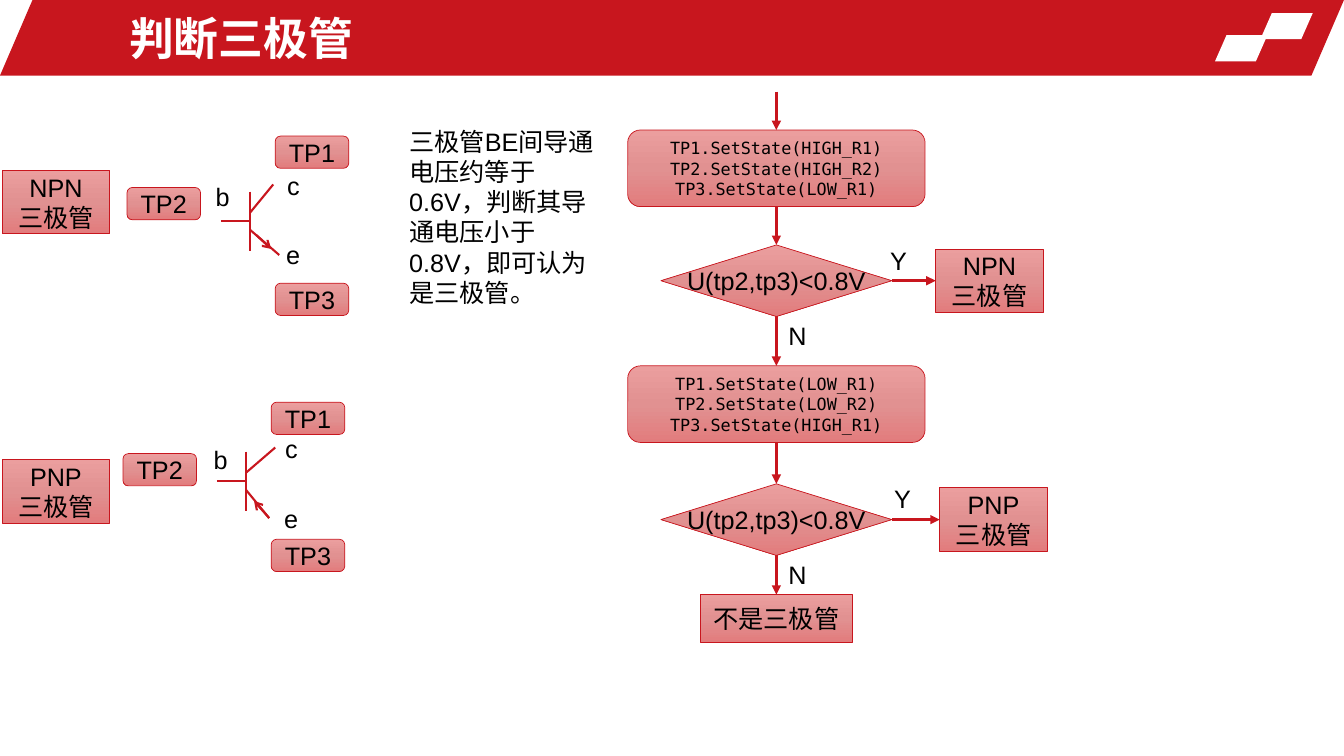
from copy import deepcopy

from lxml import etree
from pptx import Presentation
from pptx import util as u
from pptx.dml.color import RGBColor
from pptx.enum import shapes, text
from pptx.oxml.ns import qn

COLORS = {
    "red": "C8161E",
    "white": "FFFFFF",
    "black": "000000",
    "gradient_top": "EB9E9E",
    "gradient_middle": "E19191",
    "gradient_bottom": "E27C7D",
}
SHAPE = shapes.MSO_SHAPE
TOP, BOTTOM, LEFT, RIGHT = 0, 2, 1, 3

# Offsets from the top left corner of each transistor's box
TRANSISTORS = {
    "NPN": {
        "name_top": 0.34, "tp3_top": 1.46, "bar_top": 0.55,
        "collector": (0.23, -0.07), "emitter": (0.29, 0.63),
        "arrow": ((0.06, 0.43), (0.21, 0.57)),
        "letter_shift": (0, 0),
    },
    "PNP": {
        "name_top": 0.57, "tp3_top": 1.36, "bar_top": 0.49,
        "collector": (0.29, -0.04), "emitter": (0.23, 0.66),
        "arrow": ((0.23, 0.66), (0.08, 0.49)),
        "letter_shift": (0.02, 0.03),
    },
}


def color(name):
    return RGBColor.from_string(COLORS[name])


def write(shape, content, size=18, font="Arial", ink="black", bold=False,
          align=text.PP_ALIGN.CENTER, anchor=text.MSO_ANCHOR.MIDDLE,
          wrap=True, fit=text.MSO_AUTO_SIZE.NONE):
    frame = shape.text_frame
    frame.text = content
    frame.word_wrap = wrap
    frame.auto_size = fit
    frame.vertical_anchor = anchor
    for paragraph in frame.paragraphs:
        paragraph.alignment = align
        paragraph.space_before = u.Pt(0)
        paragraph.font.size = u.Pt(size)
        paragraph.font.name = font
        paragraph.font.bold = bold
        paragraph.font.color.rgb = color(ink)


def add_label(slide, content, left, top, width, height=0.4, wrap=True):
    label = slide.shapes.add_textbox(*map(u.Inches, (left, top, width, height)))
    write(label, content, align=text.PP_ALIGN.LEFT, anchor=text.MSO_ANCHOR.TOP,
          wrap=wrap, fit=text.MSO_AUTO_SIZE.SHAPE_TO_FIT_TEXT)


def add_plain(slide, kind, left, top, width, height):
    shape = slide.shapes.add_shape(kind, *map(u.Inches, (left, top, width, height)))
    shape.shadow.inherit = False
    return shape


def add_node(slide, kind, content, left, top, width, height, **text_format):
    """Shape with the red gradient and a thin red outline."""
    node = add_plain(slide, kind, left, top, width, height)
    node.fill.gradient()
    node.fill.gradient_angle = 270
    stops = node.element.spPr.find(qn("a:gradFill")).find(qn("a:gsLst"))
    middle = deepcopy(stops[0])
    middle.set("pos", "50000")
    stops.insert(1, middle)
    for stop, part in zip(node.fill.gradient_stops, ("top", "middle", "bottom")):
        stop.color.rgb = color(f"gradient_{part}")
    node.line.color.rgb = color("red")
    node.line.width = u.Pt(0.5)
    write(node, content, **text_format)
    return node


def add_name(slide, kind, left, top):
    return add_node(slide, SHAPE.RECTANGLE, f"{kind}\n三极管", left, top, 1.07, 0.63)


def add_line(slide, start, end, width=1.5, head=None):
    line = slide.shapes.add_connector(shapes.MSO_CONNECTOR.STRAIGHT,
                                      *map(u.Inches, (*start, *end)))
    line.line.color.rgb = color("red")
    line.line.width = u.Pt(width)
    properties = line.element.spPr
    if head:
        outline = properties.find(qn("a:ln"))
        etree.SubElement(outline, qn("a:tailEnd")).set("type", head)
    etree.SubElement(properties, qn("a:effectLst"))
    return line


def add_flow(slide, source, target, source_side=BOTTOM, target_side=TOP):
    arrow = add_line(slide, (0, 0), (1, 1), width=2.25, head="triangle")
    arrow.begin_connect(source, source_side)
    arrow.end_connect(target, target_side)


def build_header(slide, left, top, width):
    # Banner and its two small white slants
    for x, y, w, h, slant, fill in (
        (0, 0, width, 0.75, 0.43, "red"),
        (width - 0.83, 0.13, 0.52, 0.26, 0.44, "white"),
        (width - 1.28, 0.35, 0.52, 0.26, 0.44, "white"),
    ):
        shape = add_plain(slide, SHAPE.PARALLELOGRAM, left + x, top + y, w, h)
        shape.adjustments[0] = slant
        shape.fill.solid()
        shape.fill.fore_color.rgb = color(fill)
        shape.line.fill.background()

    # Title, brought in front of the banner
    title = slide.shapes.title
    title.left, title.top = u.Inches(left + 1.18), u.Inches(top + 0.05)
    title.width, title.height = u.Inches(7.74), u.Inches(0.65)
    write(title, "判断三极管", size=32, ink="white", bold=True,
          align=text.PP_ALIGN.LEFT)
    title.element.getparent().append(title.element)


def build_transistor(slide, kind, left, top, points_left):
    layout = TRANSISTORS[kind]
    add_name(slide, kind, left, top + layout["name_top"])

    # Test points
    for name, x, y in (("TP1", 1.47, 0), ("TP2", 0, 0.51),
                       ("TP3", 1.47, layout["tp3_top"])):
        add_node(slide, SHAPE.ROUNDED_RECTANGLE, name,
                 points_left + x, top + y, 0.73, 0.32)

    # Symbol, drawn from the top of its vertical bar
    bar_left, bar_top = points_left + 1.22, top + layout["bar_top"]

    def at(point):
        return bar_left + point[0], bar_top + point[1]

    for start, end in (((-0.29, 0.29), (0, 0.29)), ((0, 0), (0, 0.59)),
                       ((0, 0.21), layout["collector"]),
                       ((0, 0.38), layout["emitter"])):
        add_line(slide, at(start), at(end))
    add_line(slide, *map(at, layout["arrow"]), head="arrow")

    # Terminal letters
    shift_x, shift_y = layout["letter_shift"]
    for letter, x, y in (("c", 0.27, -0.26), ("e", 0.26, 0.43), ("b", -0.44, -0.15)):
        add_label(slide, letter, *at((x + shift_x, y + shift_y)), 0.34, wrap=False)


def build_flowchart(slide, axis, top):
    def add_centred(kind, content, y, width, height, **text_format):
        return add_node(slide, kind, content, axis - width / 2, top + y,
                        width, height, **text_format)

    # Two tests, each one setting the states and comparing the voltage
    previous = None
    for kind, states, state_y, test_y, result_x in (
        ("NPN", ("HIGH_R1", "HIGH_R2", "LOW_R1"), 0.38, 1.52, 1.58),
        ("PNP", ("LOW_R1", "LOW_R2", "HIGH_R1"), 2.72, 3.89, 1.62),
    ):
        code = " ".join(f"TP{i}.SetState({state})" for i, state in enumerate(states, 1))
        setup = add_centred(SHAPE.ROUNDED_RECTANGLE, code, state_y, 2.95, 0.76,
                            size=12, font="DejaVu Sans Mono")
        test = add_centred(SHAPE.DIAMOND, "U(tp2,tp3)<0.8V", test_y, 2.29, 0.71,
                           wrap=False)
        result = add_name(slide, kind, axis + result_x, top + test_y + 0.04)
        if previous:
            add_flow(slide, previous, setup)
        else:
            entry = add_line(slide, (axis, top), (axis, top + state_y),
                             width=2.25, head="triangle")
            entry.end_connect(setup, TOP)
        add_flow(slide, setup, test)
        add_flow(slide, test, result, RIGHT, LEFT)
        add_label(slide, "Y", axis + result_x - 0.55, top + test_y - 0.05, 0.53)
        add_label(slide, "N", axis + 0.02, top + test_y + 0.7, 0.53)
        previous = test

    # Neither type
    neither = add_centred(SHAPE.RECTANGLE, "不是三极管", 4.99, 1.5, 0.47)
    add_flow(slide, previous, neither)


def main():
    presentation = Presentation()
    presentation.slide_width = u.Inches(13.33)
    presentation.slide_height = u.Inches(7.5)
    slide = presentation.slides.add_slide(presentation.slide_layouts[5])

    build_header(slide, 0, 0, 13.33)
    build_transistor(slide, "NPN", 0.02, 1.35, points_left=1.26)
    build_transistor(slide, "PNP", 0.02, 3.99, points_left=1.22)
    add_label(slide, "三极管BE间导通电压约等于0.6V，判断其导通电压小于0.8V，即可认为是三极管。",
              3.96, 1.2, 2.11, 1.62)
    build_flowchart(slide, axis=7.7, top=0.91)
    presentation.save("out.pptx")


if __name__ == "__main__":
    main()
